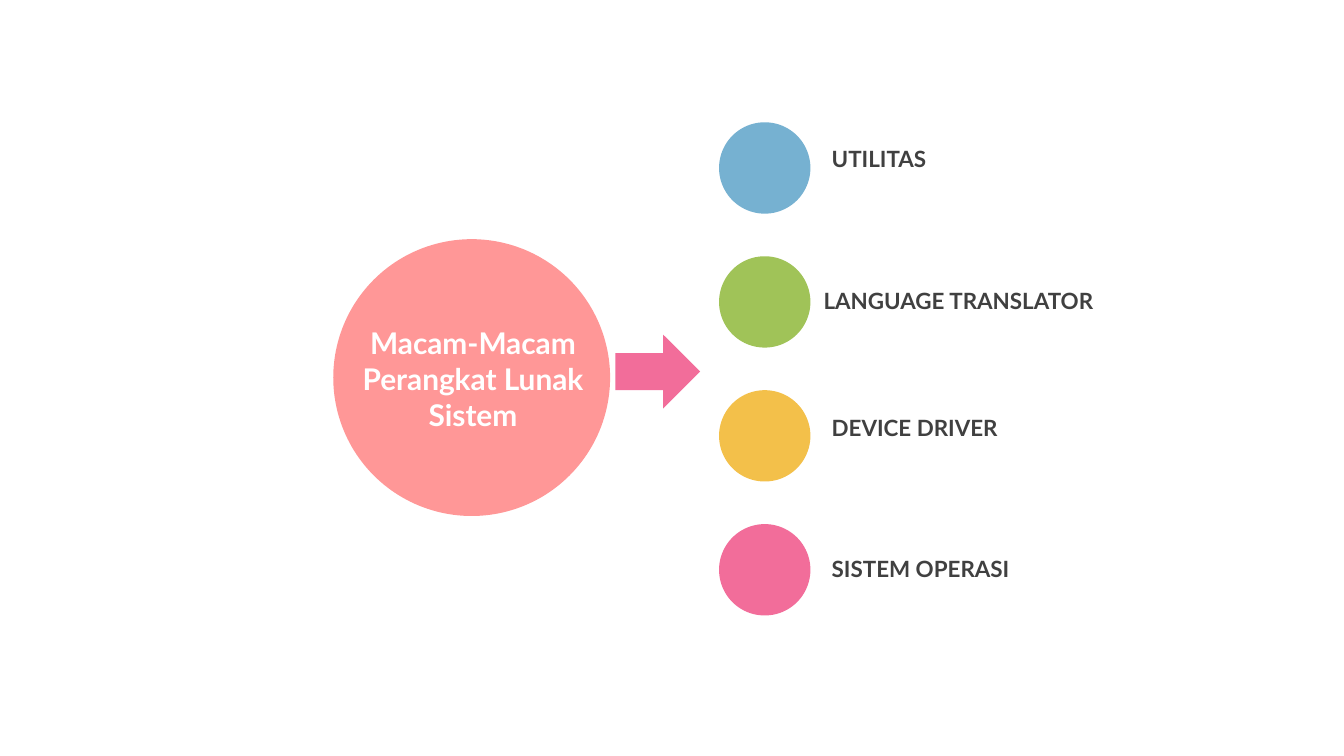
from dataclasses import dataclass

from pptx import Presentation
from pptx.dml.color import RGBColor
from pptx.enum.shapes import MSO_SHAPE
from pptx.enum.text import MSO_ANCHOR, MSO_AUTO_SIZE, PP_ALIGN
from pptx.shapes.autoshape import Shape
from pptx.slide import Slide
from pptx.util import Inches, Pt

FONT = "Lato"
PINK = "F26D9A"
SLIDE_WIDTH = 10
SLIDE_HEIGHT = SLIDE_WIDTH * 9 / 16
FIRST_DOT_TOP = 0.91
LAST_DOT_TOP = 3.9


@dataclass(frozen=True)
class Box:
    """A rectangle in inches."""

    left: float
    top: float
    width: float
    height: float


@dataclass(frozen=True)
class SoftwareType:
    """A kind of system software with its dot colour and label position."""

    name: str
    color: str
    label_left: float
    label_top: float


SOFTWARE_TYPES = [
    SoftwareType("UTILITAS", "76B1D1", 6.09, 1.03),
    SoftwareType("LANGUAGE TRANSLATOR", "A0C358", 6.03, 2.09),
    SoftwareType("DEVICE DRIVER", "F3C04A", 6.09, 3.03),
    SoftwareType("SISTEM OPERASI", PINK, 6.09, 4.08),
]
DOT_PITCH = (LAST_DOT_TOP - FIRST_DOT_TOP) / (len(SOFTWARE_TYPES) - 1)


def hex_color(value: str) -> RGBColor:
    """Return the colour for a hex string."""
    return RGBColor.from_string(value)


def add_filled_shape(slide: Slide, kind: MSO_SHAPE, box: Box, color: str) -> Shape:
    """Add a flat preset shape without an outline."""
    shape = slide.shapes.add_shape(
        kind, Inches(box.left), Inches(box.top), Inches(box.width), Inches(box.height)
    )
    shape.shadow.inherit = False
    shape.fill.solid()
    shape.fill.fore_color.rgb = hex_color(color)
    shape.line.fill.background()
    return shape


def add_bold_text(
    slide: Slide, box: Box, text: str, size: int, color: str, alignment: PP_ALIGN
) -> Shape:
    """Add a wrapping text box with one bold run."""
    shape = slide.shapes.add_textbox(
        Inches(box.left), Inches(box.top), Inches(box.width), Inches(box.height)
    )
    shape.text_frame.word_wrap = True
    paragraph = shape.text_frame.paragraphs[0]
    paragraph.alignment = alignment
    run = paragraph.add_run()
    run.text = text
    run.font.name = FONT
    run.font.size = Pt(size)
    run.font.bold = True
    run.font.color.rgb = hex_color(color)
    return shape


def add_software_dot(slide: Slide, index: int, software: SoftwareType) -> None:
    """Add the coloured dot of one software type."""
    dot = Box(5.35, FIRST_DOT_TOP + index * DOT_PITCH, 0.68, 0.68)
    add_filled_shape(slide, MSO_SHAPE.OVAL, dot, software.color)


def add_software_label(slide: Slide, software: SoftwareType) -> None:
    """Add the name of one software type."""
    box = Box(software.label_left, software.label_top, 3.1, 0.3)
    label = add_bold_text(slide, box, software.name, 12, "404040", PP_ALIGN.LEFT)
    label.text_frame.auto_size = MSO_AUTO_SIZE.SHAPE_TO_FIT_TEXT


def main() -> None:
    """Build the slide and save it."""
    presentation = Presentation()
    presentation.slide_width = Inches(SLIDE_WIDTH)
    presentation.slide_height = Inches(SLIDE_HEIGHT)
    slide = presentation.slides.add_slide(presentation.slide_layouts[6])

    add_filled_shape(slide, MSO_SHAPE.OVAL, Box(2.48, 1.78, 2.06, 2.06), "FF9797")
    add_filled_shape(slide, MSO_SHAPE.RIGHT_ARROW, Box(4.58, 2.49, 0.63, 0.55), PINK)
    for index, software in enumerate(SOFTWARE_TYPES):
        add_software_dot(slide, index, software)
    for software in SOFTWARE_TYPES:
        add_software_label(slide, software)
    title = add_bold_text(
        slide,
        Box(2.5, 2.39, 2.04, 0.85),
        "Macam-Macam Perangkat Lunak Sistem",
        16,
        "FFFFFF",
        PP_ALIGN.CENTER,
    )
    title.text_frame.vertical_anchor = MSO_ANCHOR.MIDDLE

    presentation.save("out.pptx")


if __name__ == "__main__":
    main()
